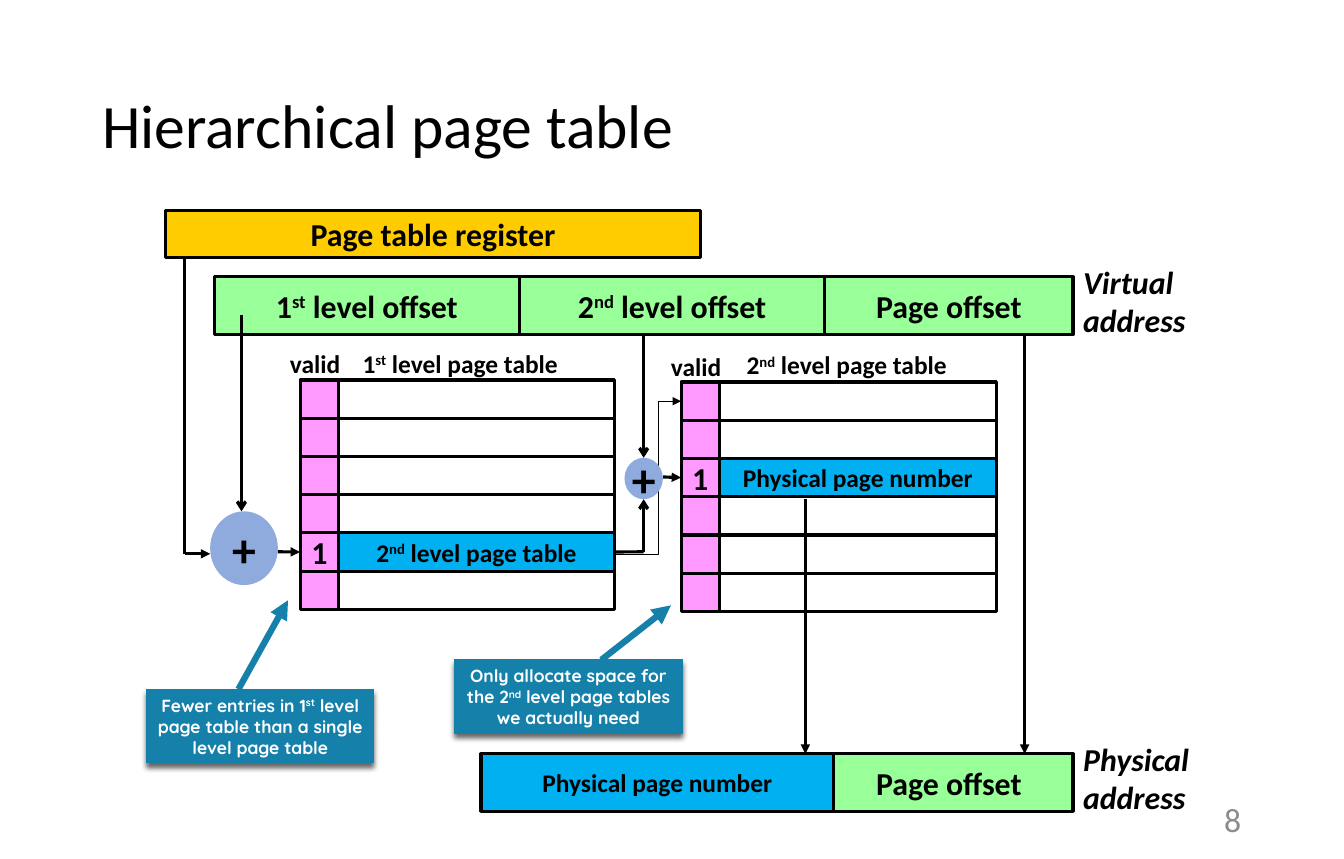
from dataclasses import dataclass

from lxml import etree
from pptx import Presentation
from pptx.dml.color import RGBColor
from pptx.enum.shapes import MSO_CONNECTOR as CONN, MSO_SHAPE as SHAPE
from pptx.enum.text import MSO_ANCHOR as ANCHOR, PP_ALIGN as ALIGN
from pptx.oxml.ns import qn
from pptx.util import Inches, Pt


@dataclass(frozen=True)
class Theme:
    font: str = "Calibri"
    callout_font: str = "Quicksand"
    ink: str = "000000"
    white: str = "FFFFFF"
    grey: str = "8C8C8C"
    register: str = "FFCC00"
    offset: str = "99FF99"
    valid: str = "FF99FF"
    entry: str = "00B0F0"
    adder: str = "8FAADC"
    callout: str = "1581AA"
    title_size: float = 43.9
    plus_size: float = 34
    number_size: float = 24
    large: float = 22.7
    small: float = 18.1
    callout_size: float = 12.5
    rule: float = 2.25


T = Theme()


def rgb(color):
    return RGBColor.from_string(color)


def write(shape, text, size, color=T.ink, font=T.font, align=ALIGN.CENTER,
          anchor=ANCHOR.MIDDLE, bold=True, italic=False, wrap=False):
    """Fill a shape with text; parts between ^ marks are superscript."""
    tf = shape.text_frame
    tf.word_wrap = wrap
    tf.vertical_anchor = anchor
    for i, line in enumerate(text.split("\n")):
        p = tf.paragraphs[0] if i == 0 else tf.add_paragraph()
        p.alignment = align
        p.font.name, p.font.size = font, Pt(size)
        p.font.bold, p.font.italic = bold, italic
        p.font.color.rgb = rgb(color)
        for j, part in enumerate(line.split("^")):
            r = p.add_run()
            r.text = part
            if j % 2:
                r._r.get_or_add_rPr().set("baseline", "30000")


def block(s, box, fill=None, line=T.ink, width=T.rule, kind=SHAPE.RECTANGLE):
    sp = s.shapes.add_shape(kind, *map(Inches, box))
    sp.shadow.inherit = False
    if fill:
        sp.fill.solid()
        sp.fill.fore_color.rgb = rgb(fill)
    else:
        sp.fill.background()
    if line:
        sp.line.color.rgb = rgb(line)
        sp.line.width = Pt(width)
    else:
        sp.line.fill.background()
    return sp


def label(s, box, text, size, **style):
    style = {"align": ALIGN.LEFT, "anchor": ANCHOR.TOP, **style}
    write(s.shapes.add_textbox(*map(Inches, box)), text, size, **style)


def wire(s, start, end, head=None, color=T.ink, width=T.rule, kind=CONN.STRAIGHT):
    c = s.shapes.add_connector(kind, *map(Inches, (*start, *end)))
    c.line.color.rgb = rgb(color)
    c.line.width = Pt(width)
    if head:
        etree.SubElement(c.line._get_or_add_ln(), qn("a:tailEnd"), type=head)
    etree.SubElement(c._element.spPr, qn("a:effectLst"))
    return c


def add_title(s, box, text):
    sp = s.shapes.title
    sp.left, sp.top, sp.width, sp.height = map(Inches, box)
    write(sp, text, T.title_size, align=ALIGN.LEFT, bold=False, wrap=True)
    sp.text_frame.paragraphs[0].line_spacing = 0.9


def add_address(s, box, name, fields):
    """Address fields as (offset, width, text, size, fill), named on the right."""
    x, y, w, h = box
    for dx, fw, text, size, fill in fields:
        write(block(s, (x + dx, y, fw, h), fill), text, size)
    label(s, (x + w, y - 0.19, 1.3, 0.86), f"{name}\naddress", T.large,
          align=ALIGN.LEFT, italic=True)


def add_page_table(s, box, name, name_dx, used, entry, rows=6, valid_w=0.38):
    """Draw a page table and return the valid bit and entry of its used row."""
    x, y, w, h = box
    row_h = h / rows
    label(s, (x - 0.2, y - 0.36, 0.71, 0.41), "valid", T.small)
    label(s, (x + name_dx, y - 0.37, 2.2, 0.41), name, T.small)
    for i in range(rows):
        top = y + i * row_h
        bit = block(s, (x, top, valid_w, row_h), T.valid)
        cell = block(s, (x + valid_w, top, w - valid_w, row_h),
                     T.entry if i == used else None)
        if i == used:
            write(bit, "1", T.large)
            write(cell, entry, T.small)
            found = bit, cell
    return found


def add_adder(s, box):
    write(block(s, box, T.adder, line=None, kind=SHAPE.OVAL), "+", T.plus_size)


def add_callout(s, box, text, tail, tip):
    x, y, w, h = box
    wire(s, (x + tail, y), tip, "triangle", T.callout, 4.5)
    sp = block(s, box, T.callout, T.callout, 0.75)
    write(sp, text, T.callout_size, T.white, T.callout_font, wrap=True)
    effects = sp._element.spPr.find(qn("a:effectLst"))
    shadow = etree.SubElement(effects, qn("a:outerShdw"), blurRad=str(Pt(4)),
                              dist=str(Pt(3)), dir="5400000", rotWithShape="0")
    black = etree.SubElement(shadow, qn("a:srgbClr"), val=T.ink)
    etree.SubElement(black, qn("a:alpha"), val="60000")


def add_first_lookup(s, box, bit):
    """Register and first offset are added to index the first table."""
    x, y, w, h = box
    wire(s, (1.83, 2.55), (1.83, 5.48))
    wire(s, (1.83, 5.48), (x, 5.48), "triangle")
    wire(s, (2.39, 3.12), (2.39, y), "arrow")
    add_adder(s, box)
    wire(s, (x + w, 5.46), (2.97, 5.46), "triangle").end_connect(bit, 1)


def add_second_lookup(s, box, entry, bit, first_bit):
    """First table entry and second offset are added to index the second table."""
    x, y, w, h = box
    mid = x + w / 2
    wire(s, (6.08, 5.46), (mid, 5.46)).begin_connect(entry, 3)
    wire(s, (mid, 5.46), (mid, y + h), "arrow")
    wire(s, (mid, 3.31), (mid, y), "arrow")
    wire(s, (x + w, 4.72), (6.74, 4.72), "triangle").end_connect(bit, 1)
    base = wire(s, (6.08, 5.49), first_bit, "triangle", width=0.75, kind=CONN.ELBOW)
    bend = base._element.spPr.find(qn("a:prstGeom")).find(qn("a:avLst"))
    etree.SubElement(bend, qn("a:gd"), name="adj1", fmla="val 66000")
    add_adder(s, box)


def build_slide(prs):
    s = prs.slides.add_slide(prs.slide_layouts[5])
    add_title(s, (0.91, 0.45, 11.47, 1.64), "Hierarchical page table")
    label(s, (9.39, 7.88, 2.99, 0.45), "8", T.number_size, color=T.grey,
          align=ALIGN.RIGHT, anchor=ANCHOR.MIDDLE, bold=False, wrap=True)

    # Register and addresses
    write(block(s, (1.64, 2.08, 5.29, 0.47), T.register), "Page table register", T.large)
    add_address(s, (2.12, 2.74, 8.5, 0.57), "Virtual", [
        (0, 3.02, "1^st^ level offset", T.large, T.offset),
        (3.02, 3.02, "2^nd^ level offset", T.large, T.offset),
        (6.04, 2.46, "Page offset", T.large, T.offset)])
    add_address(s, (4.76, 7.46, 5.86, 0.57), "Physical", [
        (3.4, 2.46, "Page offset", T.large, T.offset),
        (0, 3.49, "Physical page number", T.small, T.entry)])

    # Page tables
    bit1, entry1 = add_page_table(s, (2.97, 3.76, 3.11, 2.27), "1^st^ level page table",
                                  0.52, 4, "2^nd^ level page table")
    bit2, _ = add_page_table(s, (6.74, 3.78, 3.12, 2.27), "2^nd^ level page table",
                             0.55, 2, "Physical page number")

    # Lookups and results
    add_first_lookup(s, (2.08, 5.06, 0.67, 0.73), bit1)
    add_second_lookup(s, (6.18, 4.53, 0.38, 0.41), entry1, bit2, (6.74, 3.97))
    for x, top in ((7.97, 4.94), (10.14, 3.31)):
        wire(s, (x, top), (x, 7.46), "triangle")

    # Callouts
    add_callout(s, (1.45, 6.82, 2.25, 0.73), "Fewer entries in 1^st^ level page table "
                "than a single level page table", 0.91, (2.85, 5.94))
    add_callout(s, (4.5, 6.53, 2.25, 0.73), "Only allocate space for the 2^nd^ level "
                "page tables we actually need", 1.45, (6.64, 5.99))


def main():
    prs = Presentation()
    prs.slide_width, prs.slide_height = Inches(13.3), Inches(8.5)
    build_slide(prs)
    prs.save("out.pptx")


if __name__ == "__main__":
    main()
